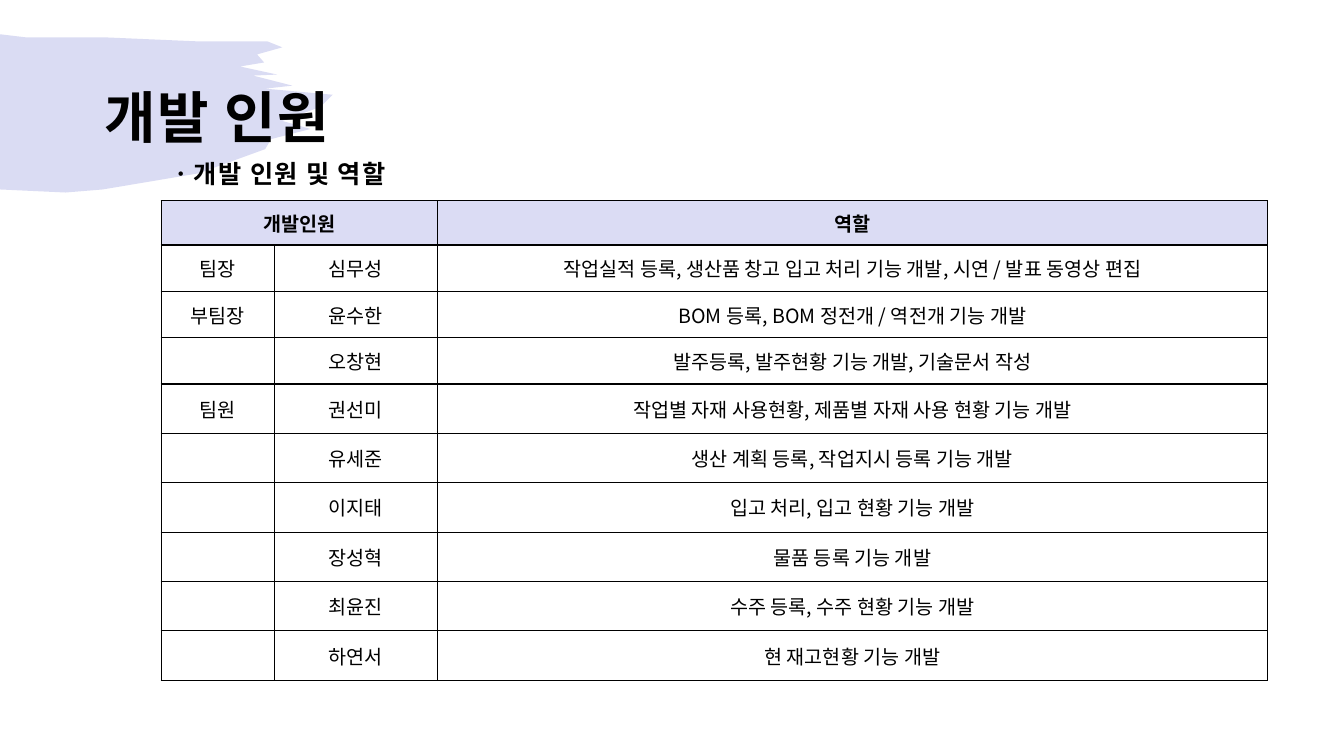
"""Build the slide that lists the development team and its roles."""
from lxml.etree import SubElement
from pptx import Presentation
from pptx.dml.color import RGBColor as RGB
from pptx.enum.text import MSO_ANCHOR as ANCHOR, MSO_AUTO_SIZE as AUTO, PP_ALIGN as ALIGN
from pptx.oxml.ns import qn
from pptx.util import Inches, Pt

COLORS = {"text": "000000", "brush": "4950C7", "header": "DBDCF4", "border": "000000"}
CELL_FONT = "Noto Sans CJK KR"
FRAME = {
    "margin_left": Inches(0.12), "margin_top": Inches(0.12),
    "margin_right": Inches(0.12), "margin_bottom": Inches(0.1),
    "word_wrap": True, "auto_size": AUTO.NONE, "vertical_anchor": ANCHOR.MIDDLE,
}
COLUMNS = [1.12, 1.62, 8.23]
ROWS = [0.44] + [0.46] * 3 + [0.49] * 6
TEAM = [
    ("개발인원", "", "역할"),
    ("팀장", "심무성", "작업실적 등록, 생산품 창고 입고 처리 기능 개발, 시연 / 발표 동영상 편집"),
    ("부팀장", "윤수한", "BOM 등록, BOM 정전개 / 역전개 기능 개발"),
    ("", "오창현", "발주등록, 발주현황 기능 개발, 기술문서 작성"),
    ("팀원", "권선미", "작업별 자재 사용현황, 제품별 자재 사용 현황 기능 개발"),
    ("", "유세준", "생산 계획 등록, 작업지시 등록 기능 개발"),
    ("", "이지태", "입고 처리, 입고 현황 기능 개발"),
    ("", "장성혁", "물품 등록 기능 개발"),
    ("", "최윤진", "수주 등록, 수주 현황 기능 개발"),
    ("", "하연서", "현 재고현황 기능 개발"),
]
BRUSH = [
    (0, 0.34), (0.25, 0.37), (1.02, 0.37), (1.94, 0.41), (2.65, 0.41), (2.8, 0.47),
    (2.55, 0.54), (2.62, 0.62), (2.38, 0.66), (2.75, 0.74), (2.51, 0.75),
    (2.9, 0.85), (2.63, 0.88), (3.3, 0.94), (3.18, 1.06), (2.8, 1.2),
    (3.08, 1.28), (2.69, 1.38), (2.63, 1.48), (1.97, 1.72), (1.02, 1.88),
    (0.65, 1.91), (0, 1.88),
]


def rgb(name):
    """Return a named colour."""
    return RGB.from_string(COLORS[name])


def set_attrs(obj, values):
    """Set each value of a dict as an attribute."""
    for name, value in values.items():
        setattr(obj, name, value)


def style_font(font, **values):
    """Format a font in the text colour."""
    set_attrs(font, values)
    font.color.rgb = rgb("text")


def add_brush(slide):
    """Draw the translucent brush stroke."""
    start, *points = [(Inches(x), Inches(y)) for x, y in BRUSH]
    builder = slide.shapes.build_freeform(*start)
    builder.add_line_segments(points)
    sp = builder.convert_to_shape()
    sp.shadow.inherit = False
    sp.line.fill.background()
    sp.fill.solid()
    sp.fill.fore_color.rgb = rgb("brush")
    color = sp.element.spPr.find(qn("a:solidFill"))[0]
    SubElement(color, qn("a:alpha"), val="20000")


def add_borders(cell):
    """Outline a table cell with thin lines."""
    tc_pr = cell._tc.get_or_add_tcPr()
    for side in ("lnL", "lnR", "lnT", "lnB"):
        ln = SubElement(tc_pr, qn(f"a:{side}"), w=str(Pt(1)))
        fill = SubElement(ln, qn("a:solidFill"))
        SubElement(fill, qn("a:srgbClr"), val=COLORS["border"])


def fill_cell(cell, text, header):
    """Write and format one table cell."""
    add_borders(cell)
    cell.vertical_anchor = ANCHOR.MIDDLE
    if header:
        cell.fill.solid()
        cell.fill.fore_color.rgb = rgb("header")
    else:
        cell.fill.background()
    if text:
        p = cell.text_frame.paragraphs[0]
        p.alignment = ALIGN.CENTER
        r = p.add_run()
        r.text = text
        style_font(r.font, name=CELL_FONT, size=Pt(14), bold=header)
        SubElement(r._r.get_or_add_rPr(), qn("a:ea"), typeface=CELL_FONT)


def add_team_table(slide):
    """Add the table of members and roles."""
    table = slide.shapes.add_table(
        len(ROWS), len(COLUMNS), Inches(1.6), Inches(1.99),
        Inches(sum(COLUMNS)), Inches(sum(ROWS))).table
    set_attrs(table, {"first_row": False, "horz_banding": False})
    for column, width in zip(table.columns, COLUMNS):
        column.width = Inches(width)
    for i, (height, texts) in enumerate(zip(ROWS, TEAM)):
        table.rows[i].height = Inches(height)
        for j, text in enumerate(texts):
            fill_cell(table.cell(i, j), text, header=i == 0)
    table.cell(0, 0).merge(table.cell(0, 1))


def format_heading(sp, text, left, top, size):
    """Place a heading and set its text."""
    set_attrs(sp, {"left": Inches(left), "top": Inches(top),
                   "width": Inches(11.5), "height": Inches(1.45)})
    tf = sp.text_frame
    set_attrs(tf, FRAME)
    p = tf.paragraphs[0]
    set_attrs(p, {"alignment": ALIGN.LEFT, "line_spacing": 1.05})
    r = p.add_run()
    r.text = text
    style_font(r.font, name="Calibri", size=Pt(size), bold=True)
    r._r.get_or_add_rPr().set("spc", "100")


def main():
    """Build and save the slide."""
    prs = Presentation()
    set_attrs(prs, {"slide_width": Inches(13.33), "slide_height": Inches(7.5)})
    slide = prs.slides.add_slide(prs.slide_layouts[5])
    add_brush(slide)
    add_team_table(slide)
    title = slide.shapes.title
    title.element.getparent().append(title.element)
    format_heading(title, "개발 인원", 0.92, 0.4, 40)
    subtitle = slide.shapes.add_textbox(0, 0, 0, 0)
    format_heading(subtitle, "ㆍ개발 인원 및 역할", 1.56, 0.98, 18)
    prs.save("out.pptx")


if __name__ == "__main__":
    main()
